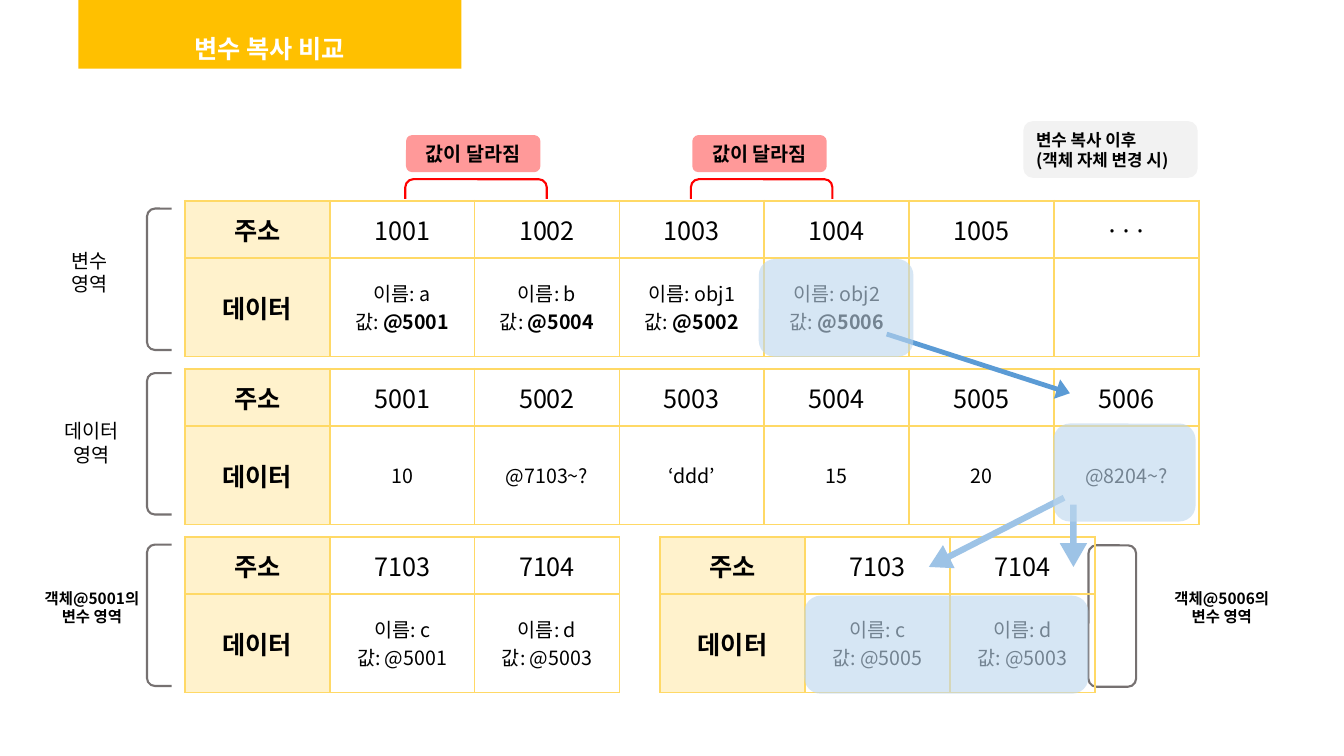
"""Build a slide comparing memory tables after a variable copy."""
from dataclasses import dataclass

from lxml import etree
from pptx import Presentation
from pptx.dml.color import RGBColor
from pptx.enum.shapes import MSO_SHAPE
from pptx.enum.text import MSO_ANCHOR, MSO_AUTO_SIZE, PP_ALIGN
from pptx.oxml.ns import qn
from pptx.util import Pt

ROUNDED, RECTANGLE, ARROW = MSO_SHAPE.ROUNDED_RECTANGLE, MSO_SHAPE.RECTANGLE, MSO_SHAPE.RIGHT_ARROW
LEFT, CENTER = PP_ALIGN.LEFT, PP_ALIGN.CENTER
MIDDLE, BOTTOM = MSO_ANCHOR.MIDDLE, MSO_ANCHOR.BOTTOM
FIXED, GROW = MSO_AUTO_SIZE.NONE, MSO_AUTO_SIZE.SHAPE_TO_FIT_TEXT


@dataclass(frozen=True)
class Theme:
    """Hold the colours, font and type sizes."""
    font: str = "Noto Sans CJK KR"
    ink: str = "000000"
    paper: str = "FFFFFF"
    banner: str = "FFC000"
    border: str = "FFD966"
    header: str = "FFF2CC"
    bracket: str = "767171"
    alert: str = "FF0000"
    highlight: str = "BDD7EE"
    arrow: str = "5B9BD5"
    pale_arrow: str = "9DC3E6"
    note: str = "F2F2F2"
    heading: int = 18
    body: int = 14
    caption: int = 12
    small: int = 11
    line: float = 1.5
    box_pitch: float = 1.2
    cell_pitch: float = 1.45


THEME = Theme()
COLUMN = 103.5
ROWS = (40.8, 70.4)
TABLES = [
    (471.5, 383.5, ["주소", "7103", "7104"],
     ["데이터", "이름: c\n값: @5005", "이름: d\n값: @5003"]),
    (132, 263.5, ["주소", "5001", "5002", "5003", "5004", "5005", "5006"],
     ["데이터", "10", "@7103~?", "‘ddd’", "15", "20", "@8204~?"]),
    (132, 143.5, ["주소", "1001", "1002", "1003", "1004", "1005", "···"],
     ["데이터", "이름: a\n값: *@5001", "이름: b\n값: *@5004",
      "이름: obj1\n값: *@5002", "이름: obj2\n값: *@5006", "", ""]),
    (132, 383.5, ["주소", "7103", "7104"],
     ["데이터", "이름: c\n값: @5001", "이름: d\n값: @5003"]),
]
AREA_LABELS = [
    (34.5, 296, 62, 41, "데이터\n영역", THEME.body, False, CENTER),
    (44, 174, 42.5, 41, "변수\n영역", THEME.body, False, LEFT),
    (21.5, 417, 88.5, 34, "객체@5001의\n변수 영역", THEME.small, True, CENTER),
    (828.5, 417, 88.5, 34, "객체@5006의\n변수 영역", THEME.small, True, CENTER),
]
ARROWS = [
    (657.5, 371, 108.5, 18.5, 152.9, 0.868, THEME.pale_arrow),
    (744.5, 373, 44.5, 19.5, 90, 0.868, THEME.pale_arrow),
    (630, 252.5, 137.5, 14.5, 17.9, 0.663, THEME.arrow),
]
HIGHLIGHTS = [(542, 185, 110.5), (752.5, 302.5, 101.5), (574.5, 425.5, 203)]


def assign(target, **values):
    """Set each named attribute on the target."""
    for name, value in values.items():
        setattr(target, name, value)


def paint(shape, color, opacity=100):
    """Fill a shape without outline, optionally translucent."""
    shape.fill.solid()
    shape.fill.fore_color.rgb = RGBColor.from_string(color)
    shape.line.fill.background()
    if opacity < 100:
        tint = shape.element.spPr.find(".//" + qn("a:srgbClr"))
        etree.SubElement(tint, qn("a:alpha"), val=str(opacity * 1000))


def add_block(shapes, kind, left, top, width, height, rotation=0):
    """Add a preset shape without shadow."""
    block = shapes.add_shape(kind, Pt(left), Pt(top), Pt(width), Pt(height))
    block.rotation = rotation
    block.shadow.inherit = False
    return block


def write(frame, text, size, bold=False, color=THEME.ink, align=CENTER, pitch=THEME.box_pitch):
    """Write lines into a frame, with the part after an asterisk in bold."""
    for row, line in enumerate(text.split("\n")):
        para = frame.add_paragraph() if row else frame.paragraphs[0]
        assign(para, alignment=align, line_spacing=Pt(round(size * pitch, 1)))
        for part, words in enumerate(line.split("*")):
            span = para.add_run()
            span.text = words
            assign(span.font, size=Pt(size), bold=bold or part > 0, name=THEME.font)
            span.font.color.rgb = RGBColor.from_string(color)
            etree.SubElement(span.font._element, qn("a:ea"), typeface=THEME.font)


def add_outline(shapes, left, top, color, rotation=0):
    """Add the hollow rounded body of a bracket."""
    outline = add_block(shapes, ROUNDED, left, top, 34, 101, rotation)
    outline.fill.background()
    outline.line.color.rgb = RGBColor.from_string(color)
    outline.line.width = Pt(THEME.line)


def add_bracket(page, left, top, color, rotation, shift):
    """Add a bracket whose open side is masked in white."""
    shapes = page.shapes.add_group_shape().shapes
    add_outline(shapes, left, top, color, rotation)
    mask = add_block(shapes, RECTANGLE, left + shift[0], top + shift[1], 48, 114.5, rotation)
    paint(mask, THEME.paper)


def add_borders(cell):
    """Draw all four borders of a cell."""
    properties = cell._tc.get_or_add_tcPr()
    for place, side in enumerate(("a:lnL", "a:lnR", "a:lnT", "a:lnB")):
        edge = etree.Element(qn(side), w=str(Pt(THEME.line)))
        fill = etree.SubElement(edge, qn("a:solidFill"))
        etree.SubElement(fill, qn("a:srgbClr"), val=THEME.border)
        properties.insert(place, edge)


def add_memory_table(page, left, top, *rows):
    """Add a table of addresses above their data."""
    count = len(rows[0])
    frame = page.shapes.add_table(len(rows), count, Pt(left), Pt(top),
                                  Pt(COLUMN * count), Pt(sum(ROWS)))
    table = frame.table
    assign(table, first_row=False, horz_banding=False)
    for column in table.columns:
        column.width = Pt(COLUMN)
    for row, texts in enumerate(rows):
        table.rows[row].height = Pt(ROWS[row])
        for column, text in enumerate(texts):
            cell = table.cell(row, column)
            cell.vertical_anchor = MIDDLE
            if column:
                cell.fill.background()
            else:
                cell.fill.solid()
                cell.fill.fore_color.rgb = RGBColor.from_string(THEME.header)
            add_borders(cell)
            size = THEME.body if row and column else THEME.heading
            if text:
                write(cell.text_frame, text, size, column == 0, pitch=THEME.cell_pitch)


def add_label(page, left, top, width, height, text, size, bold, align):
    """Add a text box that keeps its own line breaks."""
    box = page.shapes.add_textbox(Pt(left), Pt(top), Pt(width), Pt(height))
    assign(box.text_frame, word_wrap=False, auto_size=GROW)
    write(box.text_frame, text, size, bold, align=align)


def add_tag(page, left, top, width, height, text, size, color, opacity, wrap, align):
    """Add a rounded tag with bold text."""
    tag = add_block(page.shapes, ROUNDED, left, top, width, height)
    paint(tag, color, opacity)
    assign(tag.text_frame, word_wrap=wrap, auto_size=GROW, vertical_anchor=MIDDLE)
    write(tag.text_frame, text, size, True, align=align)


def add_title(page, text):
    """Shape the title placeholder as a banner hanging from the top edge."""
    title = page.shapes.title
    assign(title, left=Pt(56), top=Pt(-49), width=Pt(273.5), height=Pt(98))
    geometry = etree.SubElement(title.element.spPr, qn("a:prstGeom"), prst="roundRect")
    guides = etree.SubElement(geometry, qn("a:avLst"))
    etree.SubElement(guides, qn("a:gd"), name="adj", fmla="val 25000")
    paint(title, THEME.banner)
    assign(title.text_frame, word_wrap=True, auto_size=FIXED, vertical_anchor=BOTTOM)
    write(title.text_frame, text, THEME.heading, True, THEME.paper)


def main():
    """Compose the slide and save it."""
    deck = Presentation()
    assign(deck, slide_width=Pt(960), slide_height=Pt(540))
    page = deck.slides.add_slide(deck.slide_layouts[5])
    add_title(page, "변수 복사 비교")
    add_outline(page.shapes, 777.5, 389.5, THEME.bracket)
    for left in (527, 323):
        add_bracket(page, left, 94.5, THEME.alert, 90, (-7, 14.5))
    for top in (149, 266.5, 389):
        add_bracket(page, 105, top, THEME.bracket, 0, (17.5, -8.5))
    for table in TABLES:
        add_memory_table(page, *table)
    for label in AREA_LABELS:
        add_label(page, *label)
    for left, top, width, height, rotation, head, color in ARROWS:
        arrow = add_block(page.shapes, ARROW, left, top, width, height, rotation)
        arrow.adjustments[0], arrow.adjustments[1] = 0.238, head
        paint(arrow, color)
    for left, top, width in HIGHLIGHTS:
        paint(add_block(page.shapes, ROUNDED, left, top, width, 70), THEME.highlight, 61)
    for left in (290, 494.5):
        add_tag(page, left, 96.5, 96, 26.5, "값이 달라짐", THEME.body, THEME.alert, 40, True, CENTER)
    add_tag(page, 731, 86.5, 124.5, 40.5, "변수 복사 이후\n(객체 자체 변경 시)",
            THEME.caption, THEME.note, 100, False, LEFT)
    deck.save("out.pptx")


if __name__ == "__main__":
    main()
